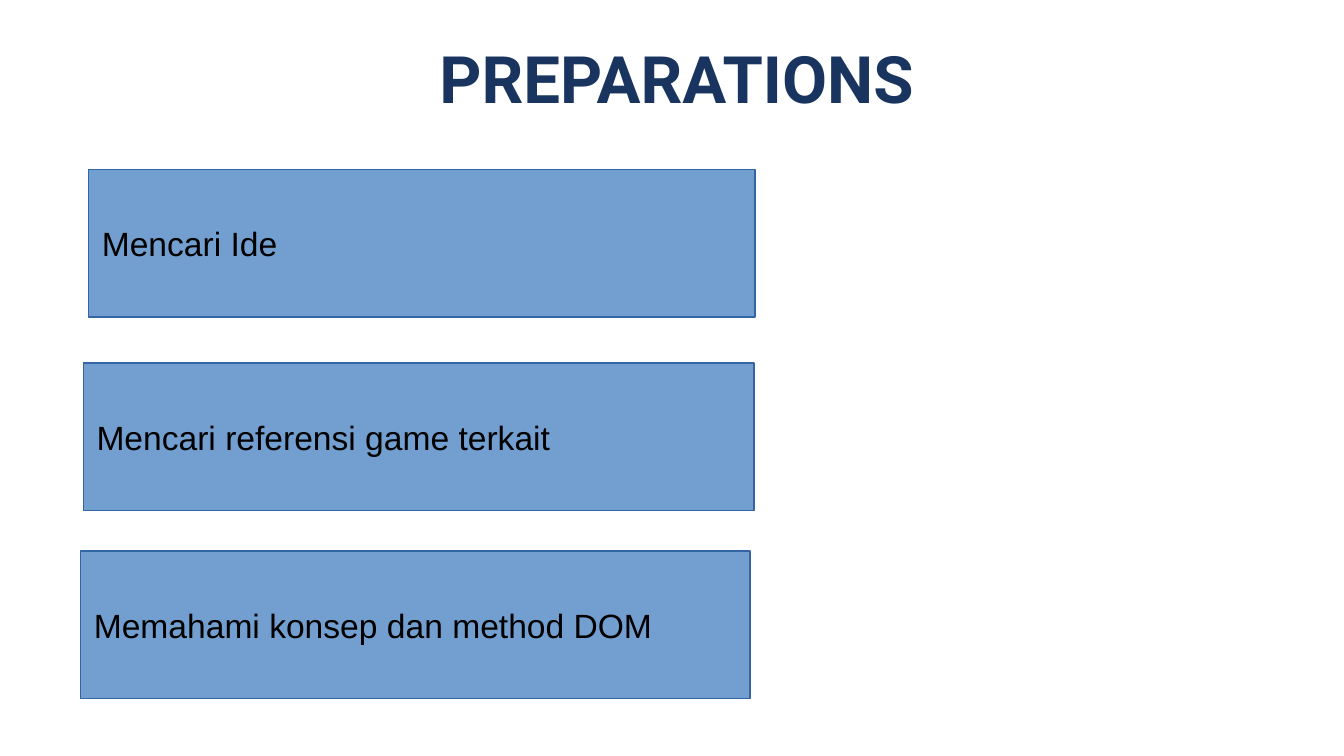
import pptx
import pptx.dml.color
import pptx.enum.shapes
import pptx.enum.text
import pptx.util

Inches = pptx.util.Inches
Pt = pptx.util.Pt
RGBColor = pptx.dml.color.RGBColor
Align = pptx.enum.text.PP_ALIGN
Anchor = pptx.enum.text.MSO_ANCHOR

NAVY = RGBColor(0x19, 0x35, 0x5F)
BLUE = RGBColor(0x72, 0x9F, 0xCF)
BORDER = RGBColor(0x34, 0x65, 0xA4)
BLACK = RGBColor(0, 0, 0)

SLIDE_WIDTH = Inches(10)
SLIDE_HEIGHT = SLIDE_WIDTH * 9 // 16
STEP_HEIGHT = 1.1

# Wording, left, top, width, alignment
STEPS = [
    ("Mencari Ide", 0.66, 1.26, 4.96, Align.JUSTIFY),
    ("Mencari referensi game terkait", 0.62, 2.7, 4.99, Align.LEFT),
    ("Memahami konsep dan method DOM", 0.6, 4.1, 4.98, Align.LEFT),
]


def write_text(shape, text, font, size, color, align, margins, bold=False):
    """Fill the shape with one formatted, vertically centred line."""
    frame = shape.text_frame
    frame.word_wrap = True
    frame.auto_size = pptx.enum.text.MSO_AUTO_SIZE.NONE
    frame.vertical_anchor = Anchor.MIDDLE
    frame.margin_left = frame.margin_right = Inches(margins[0])
    frame.margin_top = frame.margin_bottom = Inches(margins[1])
    para = frame.paragraphs[0]
    para.alignment = align
    span = para.add_run()
    span.text = text
    span.font.name = font
    span.font.size = Pt(size)
    span.font.bold = bold
    span.font.color.rgb = color
    return para


def format_title(page, text):
    title = page.shapes.title
    title.left, title.top = Inches(0.26), Inches(0.15)
    title.width, title.height = Inches(9.55), Inches(0.93)
    para = write_text(title, text, "Roboto", 35, NAVY, Align.CENTER,
                      (0.07, 0.04), bold=True)
    para.line_spacing = 0.9


def add_step(page, text, left, top, width, align):
    box = page.shapes.add_shape(
        pptx.enum.shapes.MSO_SHAPE.RECTANGLE,
        Inches(left), Inches(top), Inches(width), Inches(STEP_HEIGHT))
    box.shadow.inherit = False
    box.fill.solid()
    box.fill.fore_color.rgb = BLUE
    box.line.color.rgb = BORDER
    box.line.width = Pt(0.75)
    write_text(box, text, "Arial", 18, BLACK, align, (0.1, 0.05))


def main():
    deck = pptx.Presentation()
    deck.slide_width, deck.slide_height = SLIDE_WIDTH, SLIDE_HEIGHT
    page = deck.slides.add_slide(deck.slide_layouts.get_by_name("Title Only"))
    format_title(page, "PREPARATIONS")
    for step in STEPS:
        add_step(page, *step)
    deck.save("out.pptx")


if __name__ == "__main__":
    main()
